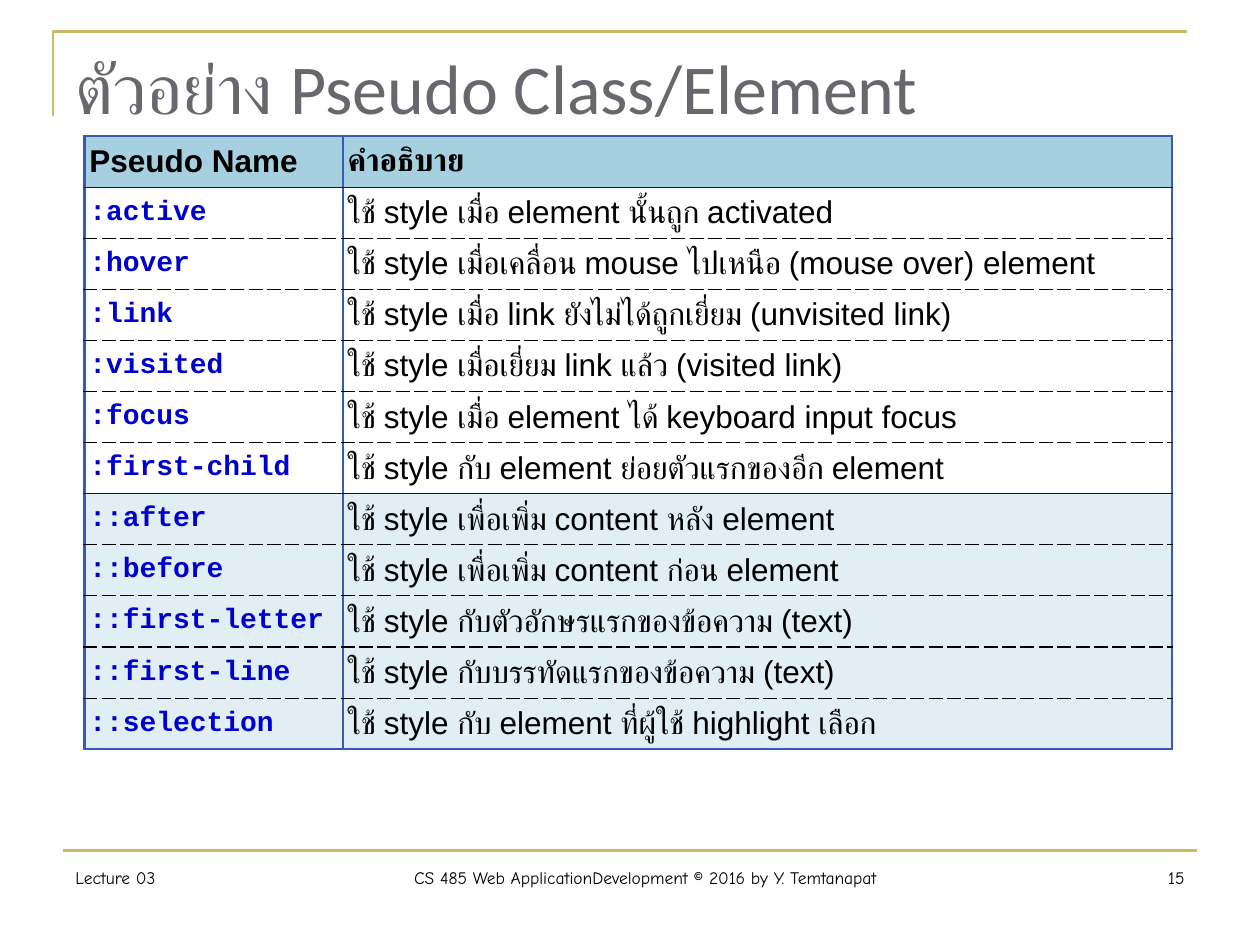
"""Build the slide that lists CSS pseudo classes and pseudo elements."""
from lxml import etree
from pptx import Presentation
from pptx.dml.color import RGBColor
from pptx.enum.shapes import MSO_CONNECTOR
from pptx.enum.text import MSO_ANCHOR, MSO_AUTO_SIZE, PP_ALIGN
from pptx.oxml.ns import qn
from pptx.util import Inches, Pt

TOP, MIDDLE = MSO_ANCHOR.TOP, MSO_ANCHOR.MIDDLE
LEFT, CENTER, RIGHT = PP_ALIGN.LEFT, PP_ALIGN.CENTER, PP_ALIGN.RIGHT
STRAIGHT, NO_FIT = MSO_CONNECTOR.STRAIGHT, MSO_AUTO_SIZE.NONE

GOLD = RGBColor(0xCE, 0xB9, 0x66)
GRAY = RGBColor(0x69, 0x67, 0x6D)
BLACK = RGBColor(0, 0, 0)
WHITE = RGBColor(255, 255, 255)
BLUE = RGBColor(0, 0, 0xCC)
FRAME_BLUE = RGBColor(0x37, 0x5B, 0xB0)
HEAD_FILL = RGBColor(0xA6, 0xD0, 0xDF)
ELEMENT_FILL = RGBColor(0xE1, 0xEF, 0xF4)

TITLE = "ตัวอย่าง Pseudo Class/Element"
HEADER = ("Pseudo Name", "คำอธิบาย")
CLASSES = [
    (":active", "ใช้ style เมื่อ element นั้นถูก activated"),
    (":hover", "ใช้ style เมื่อเคลื่อน mouse ไปเหนือ (mouse over) element"),
    (":link", "ใช้ style เมื่อ link ยังไม่ได้ถูกเยี่ยม (unvisited link)"),
    (":visited", "ใช้ style เมื่อเยี่ยม link แล้ว (visited link)"),
    (":focus", "ใช้ style เมื่อ element ได้ keyboard input focus"),
    (":first-child", "ใช้ style กับ element ย่อยตัวแรกของอีก element"),
]
ELEMENTS = [
    ("::after", "ใช้ style เพื่อเพิ่ม content หลัง element"),
    ("::before", "ใช้ style เพื่อเพิ่ม content ก่อน element"),
    ("::first-letter", "ใช้ style กับตัวอักษรแรกของข้อความ (text)"),
    ("::first-line", "ใช้ style กับบรรทัดแรกของข้อความ (text)"),
    ("::selection", "ใช้ style กับ element ที่ผู้ใช้ highlight เลือก"),
]
FOOTER = [
    ("Lecture 03", 1.61, LEFT),
    ("CS 485 Web ApplicationDevelopment © 2016 by Y. Temtanapat", 6.02, CENTER),
    ("15", 1.37, RIGHT),
]

TITLE_FONT = {"name": "Calibri", "size": Pt(40), "color": GRAY}
HEAD_FONT = {"name": "Arial", "size": Pt(18), "bold": True, "color": BLACK}
NAME_FONT = {"name": "Courier New", "size": Pt(16), "bold": True, "color": BLUE}
TEXT_FONT = {"name": "Arial", "size": Pt(18), "bold": False, "color": BLACK}
FOOTER_FONT = {"name": "Comic Neue", "size": Pt(10), "color": BLACK}

FRAME = (FRAME_BLUE, 1.5, "solid")
SECTION = (BLUE, 0.75, "solid")
DASHED = (BLACK, 0.75, "dash")

MARGIN, CONTENT_W = 0.5, 9
TABLE_X, TABLE_Y, TABLE_H = 0.67, 1.08, 4.87
COL_WIDTHS = (2.05, 6.58)
CELL_FORMAT = {"vertical_anchor": MIDDLE, "margin_left": Inches(0.04),
               "margin_right": Inches(0.04), "margin_top": 0, "margin_bottom": 0}


def write(tf, text, font, align=LEFT):
    """Put one formatted run of text in a text frame."""
    p = tf.paragraphs[0]
    p.alignment = align
    r = p.add_run()
    r.text = text
    for key, value in font.items():
        if key == "color":
            r.font.color.rgb = value
        else:
            setattr(r.font, key, value)


def add_border(cell, side, line):
    """Draw one side of a table cell."""
    color, width, dash = line
    ln = etree.SubElement(cell._tc.get_or_add_tcPr(), qn(f"a:ln{side}"), w=str(Pt(width)))
    fill = etree.SubElement(ln, qn("a:solidFill"))
    etree.SubElement(fill, qn("a:srgbClr"), val=str(color))
    etree.SubElement(ln, qn("a:prstDash"), val=dash)


def add_rules(s):
    """Draw the gold corner above the title and the line above the footer."""
    fb = s.shapes.build_freeform(Inches(0.42), Inches(0.92))
    fb.add_line_segments([(Inches(0.42), Inches(0.25)), (Inches(9.42), Inches(0.25))], close=False)
    corner = fb.convert_to_shape()
    corner.fill.background()
    corner.shadow.inherit = False
    base = s.shapes.add_connector(STRAIGHT, Inches(MARGIN), Inches(6.75),
                                  Inches(MARGIN + CONTENT_W), Inches(6.75))
    etree.SubElement(base._element.spPr, qn("a:effectLst"))
    for sp in (corner, base):
        sp.line.color.rgb = GOLD
        sp.line.width = Pt(1.5)


def add_title(s):
    """Place the title."""
    sp = s.shapes.title
    sp.left, sp.top, sp.width, sp.height = map(Inches, (MARGIN, 0.3, CONTENT_W, 1.25))
    sp.text_frame.vertical_anchor = TOP
    sp.text_frame.auto_size = NO_FIT
    write(sp.text_frame, TITLE, TITLE_FONT)


def add_pseudo_table(s):
    """Add the table with its header and two sections."""
    body = (NAME_FONT, TEXT_FONT)
    rows = [(HEADER, HEAD_FILL, (HEAD_FONT, HEAD_FONT))]
    rows += [(row, WHITE, body) for row in CLASSES]
    rows += [(row, ELEMENT_FILL, body) for row in ELEMENTS]
    edges = [FRAME, SECTION] + [DASHED] * (len(CLASSES) - 1)
    edges += [SECTION] + [DASHED] * (len(ELEMENTS) - 1) + [FRAME]
    table = s.shapes.add_table(len(rows), len(COL_WIDTHS), Inches(TABLE_X), Inches(TABLE_Y),
                               Inches(sum(COL_WIDTHS)), Inches(TABLE_H)).table
    table.horz_banding = False
    for col, width in zip(table.columns, COL_WIDTHS):
        col.width = Inches(width)
    for i, (texts, fill, fonts) in enumerate(rows):
        for j, (text, font) in enumerate(zip(texts, fonts)):
            cell = table.cell(i, j)
            for key, value in CELL_FORMAT.items():
                setattr(cell, key, value)
            for side, line in zip("LRTB", (FRAME, FRAME, edges[i], edges[i + 1])):
                add_border(cell, side, line)
            cell.fill.solid()
            cell.fill.fore_color.rgb = fill
            write(cell.text_frame, text, font)


def add_footer(s):
    """Set the footer parts side by side."""
    x = MARGIN
    for text, width, align in FOOTER:
        sp = s.shapes.add_textbox(Inches(x), Inches(6.83), Inches(width), Inches(0.5))
        sp.text_frame.word_wrap = True
        write(sp.text_frame, text, FOOTER_FONT, align)
        x += width


def main():
    """Build and save the slide."""
    prs = Presentation()
    prs.slide_width, prs.slide_height = Inches(10), Inches(7.5)
    s = prs.slides.add_slide(prs.slide_layouts[5])
    add_rules(s)
    add_title(s)
    add_pseudo_table(s)
    add_footer(s)
    prs.save("out.pptx")


if __name__ == "__main__":
    main()
